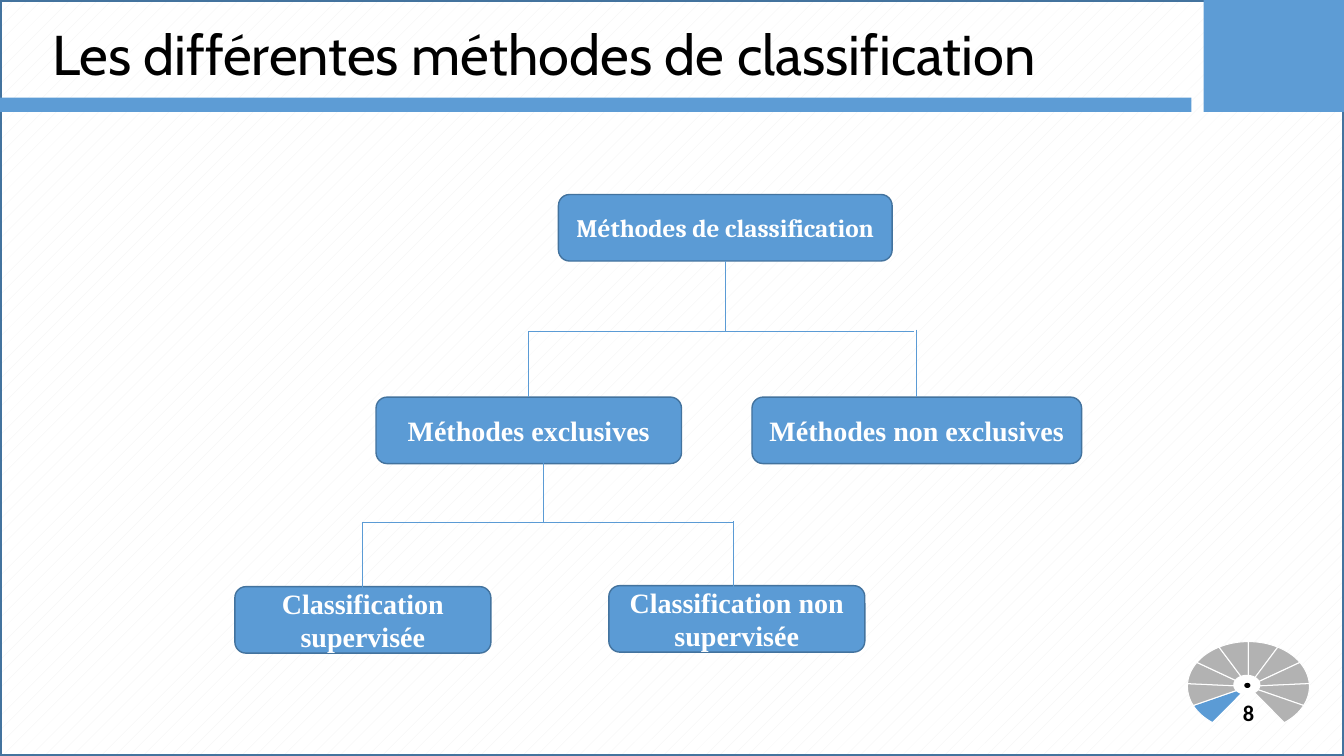
from dataclasses import dataclass
from math import cos, radians, sin

from lxml.etree import SubElement
from pptx import Presentation
from pptx.dml.color import RGBColor
from pptx.enum.dml import MSO_PATTERN
from pptx.enum.shapes import MSO_CONNECTOR, MSO_SHAPE
from pptx.enum.text import MSO_ANCHOR, PP_ALIGN
from pptx.oxml.ns import qn
from pptx.util import Inches, Pt

BLUE, BAND, EDGE = "5B9BD5", "5D9CD5", "43739E"
GREY, WHITE, BLACK = "B2B2B2", "FFFFFF", "000000"
SERIF = "Times New Roman"

prs = Presentation()
prs.slide_width, prs.slide_height = Inches(13.33), Inches(7.5)
s = prs.slides.add_slide(prs.slide_layouts[6])


@dataclass
class Area:
    """Position and size in percent of the slide's width and height."""
    x: float
    y: float
    w: float
    h: float


@dataclass
class Node:
    label: str
    area: Area
    font: str = SERIF
    size: int = 20


@dataclass
class Stem:
    x: float
    top: float
    bottom: float


@dataclass
class Branch:
    left: float
    right: float
    top: float
    bottom: float


def px(share: float) -> int:
    return round(prs.slide_width * share / 100)


def py(share: float) -> int:
    return round(prs.slide_height * share / 100)


def rgb(color: str) -> RGBColor:
    return RGBColor.from_string(color)


def box_of(a: Area) -> tuple:
    return px(a.x), py(a.y), px(a.w), py(a.h)


def paint(sp, fill: str = "", line: str = "", width: float = 0.75) -> None:
    sp.shadow.inherit = False
    if fill:
        sp.fill.solid()
        sp.fill.fore_color.rgb = rgb(fill)
    else:
        sp.fill.background()
    if line:
        sp.line.color.rgb = rgb(line)
        sp.line.width = Pt(width)
    else:
        sp.line.fill.background()


def draw_shape(kind, area: Area, fill: str = "", line: str = "", width: float = 0.75):
    sp = s.shapes.add_shape(kind, *box_of(area))
    paint(sp, fill, line, width)
    return sp


def write(sp, text: str, color: str, **formats) -> None:
    tf = sp.text_frame
    tf.word_wrap = True
    tf.vertical_anchor = MSO_ANCHOR.MIDDLE
    p = tf.paragraphs[0]
    p.alignment = PP_ALIGN.CENTER
    r = p.add_run()
    r.text = text
    r.font.color.rgb = rgb(color)
    for name, value in formats.items():
        setattr(r.font, name, value)


def draw_node(node: Node) -> None:
    sp = draw_shape(MSO_SHAPE.ROUNDED_RECTANGLE, node.area, BLUE, EDGE, 1)
    write(sp, node.label, WHITE, name=node.font, size=Pt(node.size), bold=True)


def draw_connector(kind, x1: int, y1: int, x2: int, y2: int):
    c = s.shapes.add_connector(kind, x1, y1, x2, y2)
    c.line.color.rgb = rgb(BLUE)
    c.line.width = Pt(0.5)
    SubElement(c._element.spPr, qn("a:effectLst"))
    return c


def draw_stem(stem: Stem) -> None:
    draw_connector(MSO_CONNECTOR.STRAIGHT, px(stem.x), py(stem.top), px(stem.x), py(stem.bottom))


def draw_branch(b: Branch) -> None:
    # A one-corner elbow, laid out upright and turned a quarter about its centre
    cx, cy = px((b.left + b.right) / 2), py((b.top + b.bottom) / 2)
    dx, dy = py(b.bottom - b.top) // 2, px(b.right - b.left) // 2
    c = draw_connector(MSO_CONNECTOR.ELBOW, cx + dx, cy + dy, cx - dx, cy - dy)
    spPr = c._element.spPr
    spPr.find(qn("a:xfrm")).set("rot", "5400000")
    spPr.find(qn("a:prstGeom")).set("prst", "bentConnector2")


def draw_wedge(start: float, sweep: float, fill: str) -> None:
    cx, cy, rx, ry, steps = 92.89, 90.8, 4.54, 5.93, 8
    angles = [radians(start + sweep * i / steps) for i in range(steps + 1)]
    rim = [(px(cx + rx * cos(a)), py(cy + ry * sin(a))) for a in angles]
    fb = s.shapes.build_freeform(px(cx), py(cy))
    fb.add_line_segments(rim, close=True)
    paint(fb.convert_to_shape(), fill, WHITE)


# Background, frame and header bands
bg = s.background.fill
bg.patterned()
bg.pattern = MSO_PATTERN.PERCENT_5
bg.fore_color.rgb, bg.back_color.rgb = rgb("F2F2F2"), rgb(WHITE)
draw_shape(MSO_SHAPE.RECTANGLE, Area(0, 0, 100, 100), line=EDGE, width=3)
draw_shape(MSO_SHAPE.RECTANGLE, Area(0, 12.93, 88.65, 1.87), BAND)
draw_shape(MSO_SHAPE.RECTANGLE, Area(89.55, 0, 10.45, 14.8), BAND)

# Progress fan with the page number
WEDGES, GAP = 10, 72
sweep = (360 - GAP) / WEDGES
for i in range(WEDGES):
    draw_wedge(90 + GAP / 2 + i * sweep, sweep, GREY if i else BLUE)
draw_shape(MSO_SHAPE.OVAL, Area(91.8, 89.33, 1.95, 2.53), WHITE, WHITE)
draw_shape(MSO_SHAPE.OVAL, Area(92.62, 90.4, 0.38, 0.53), BLACK, BLACK)
number = s.shapes.add_textbox(*box_of(Area(90.98, 91.87, 3.83, 4.8)))
write(number, "8", BLACK, name="Calibri", size=Pt(16), bold=True)

# Title
title = s.shapes.add_textbox(*box_of(Area(0, 1.87, 80.93, 10.27)))
write(title, "Les différentes méthodes de classification", BLACK, name="Cabin", size=Pt(40))

# Classification tree
NODE_H = 8.8
for node in (
    Node("Méthodes de classification", Area(41.55, 25.73, 24.83, NODE_H), "Cambria", 18),
    Node("Classification non supervisée", Area(45.3, 77.47, 19.05, NODE_H)),
    Node("Classification supervisée", Area(17.48, 77.6, 19.05, NODE_H)),
    Node("Méthodes non exclusives", Area(55.95, 52.53, 24.53, NODE_H)),
    Node("Méthodes exclusives", Area(27.98, 52.53, 22.73, NODE_H)),
):
    draw_node(node)
for stem in (
    Stem(54, 34.53, 43.87),
    Stem(68.18, 43.6, 52.53),
    Stem(40.46, 59.73, 69.07),
    Stem(54.6, 68.93, 77.87),
):
    draw_stem(stem)
for branch in (Branch(39.3, 68.03, 43.87, 52.53), Branch(26.93, 54.53, 69.07, 77.73)):
    draw_branch(branch)

prs.save("out.pptx")
